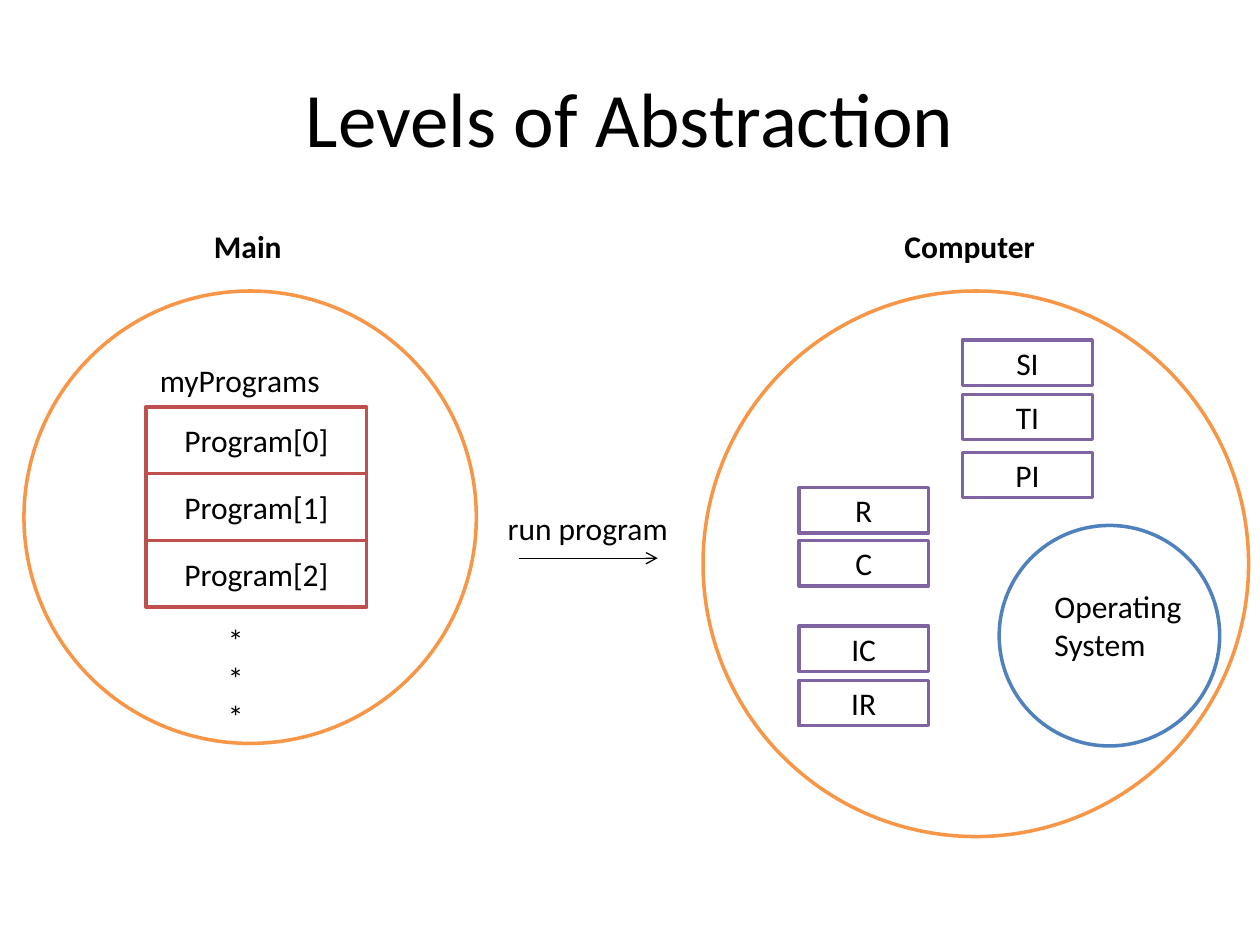
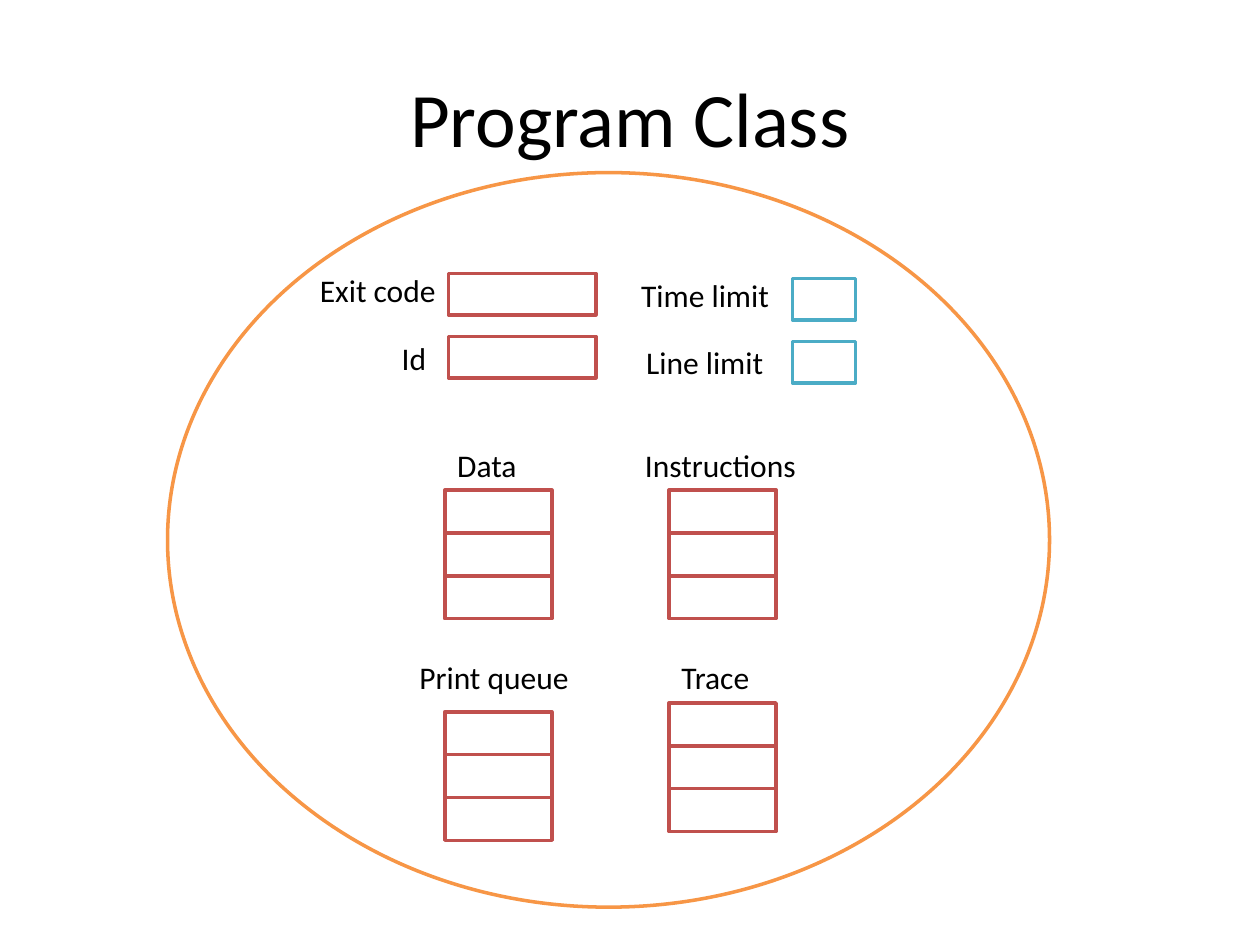
from pptx import Presentation
from pptx.dml.color import RGBColor
from pptx.enum.shapes import MSO_CONNECTOR as Link, MSO_SHAPE as Shape
from pptx.enum.text import MSO_ANCHOR as Anchor, MSO_AUTO_SIZE as Fit, PP_ALIGN as Align
from pptx.oxml.ns import qn
from pptx.util import Inches, Pt
from lxml import etree

COLORS = {
    "text": "000000", "fill": "FFFFFF", "orange": "F79646", "blue": "4F81BD",
    "red": "C0504D", "purple": "8064A2", "teal": "4BACC6",
}
FONT = "Calibri"


def color(name):
    return RGBColor.from_string(COLORS[name])


def style(frame, size=18, bold=False, align=Align.LEFT):
    for para in frame.paragraphs:
        para.alignment = align
        font = para.font
        font.name, font.size, font.bold = FONT, Pt(size), bold
        font.color.rgb = color("text")


def add_slide(deck, title):
    slide = deck.slides.add_slide(deck.slide_layouts[5])
    head = slide.shapes.title
    head.left, head.top, head.width, head.height = map(Inches, (0.5, 0.3, 9, 1.25))
    head.text_frame.text = title
    head.text_frame.vertical_anchor = Anchor.MIDDLE
    style(head.text_frame, 44, align=Align.CENTER)
    return slide


def add_form(slide, kind, line, x, y, w, h, text=""):
    """Add a white shape with a coloured outline and centred text."""
    form = slide.shapes.add_shape(kind, *map(Inches, (x, y, w, h)))
    form.shadow.inherit = False
    form.fill.solid()
    form.fill.fore_color.rgb = color("fill")
    form.line.color.rgb = color(line)
    form.line.width = Pt(2)
    if text:
        frame = form.text_frame
        frame.text = text
        frame.vertical_anchor = Anchor.MIDDLE
        style(frame, align=Align.CENTER)


def add_oval(slide, line, x, y, w, h):
    add_form(slide, Shape.OVAL, line, x, y, w, h)


def add_box(slide, line, x, y, w, h, text=""):
    add_form(slide, Shape.RECTANGLE, line, x, y, w, h, text)


def add_stack(slide, x, y, w, h, texts=("", "", "")):
    """Add red cells that touch, from the top down."""
    for i, text in enumerate(texts):
        add_box(slide, "red", x, y + i * h, w, h, text)


def add_label(slide, text, x, y, w, h=0.4, bold=False):
    frame = slide.shapes.add_textbox(*map(Inches, (x, y, w, h))).text_frame
    frame.text = text
    frame.word_wrap = False
    frame.auto_size = Fit.SHAPE_TO_FIT_TEXT
    style(frame, bold=bold)


def add_arrow(slide, x, y, end):
    line = slide.shapes.add_connector(
        Link.STRAIGHT, Inches(x), Inches(y), Inches(end), Inches(y))
    line.line.color.rgb = color("text")
    line.line.width = Pt(0.75)
    props = line._element.spPr
    etree.SubElement(props.find(qn("a:ln")), qn("a:tailEnd"), type="arrow")
    etree.SubElement(props, qn("a:effectLst"))


def draw_levels(deck):
    slide = add_slide(deck, "Levels of Abstraction")

    add_label(slide, "Computer", 7.08, 1.75, 1.27, bold=True)
    add_oval(slide, "orange", 5.58, 2.31, 4.33, 4.33)
    add_oval(slide, "blue", 7.93, 4.17, 1.75, 1.75)
    add_label(slide, "Operating\nSystem", 8.27, 4.61, 1.28, 0.71)
    cells = {
        6.34: {"R": 3.87, "C": 4.29, "IC": 4.97, "IR": 5.4},
        7.64: {"SI": 2.7, "TI": 3.13, "PI": 3.59},
    }
    for x, column in cells.items():
        for name, y in column.items():
            add_box(slide, "purple", x, y, 1.03, 0.36, name)

    add_label(slide, "Main", 1.6, 1.75, 0.74, bold=True)
    add_oval(slide, "orange", 0.19, 2.31, 3.59, 3.59)
    add_label(slide, "myPrograms", 1.17, 2.82, 1.48)
    add_stack(slide, 1.16, 3.23, 1.75, 0.53, [f"Program[{i}]" for i in range(3)])
    add_label(slide, "*\n*\n*", 1.71, 4.88, 0.33, 1.01)

    add_label(slide, "run program", 3.93, 3.99, 1.49)
    add_arrow(slide, 4.12, 4.43, 5.22)


def draw_class(deck):
    slide = add_slide(deck, "Program Class")
    add_oval(slide, "orange", 1.33, 1.37, 7, 5.83)

    fields = [
        ("Exit code", 2.44, 2.1, 1.13, "red", 3.56, 2.17, 1.17),
        ("Id", 3.09, 2.64, 0.4, "red", 3.56, 2.67, 1.17),
        ("Time limit", 4.99, 2.14, 1.23, "teal", 6.29, 2.21, 0.5),
        ("Line limit", 5.03, 2.67, 1.14, "teal", 6.29, 2.71, 0.5),
    ]
    for text, x, y, w, line, left, top, wide in fields:
        add_label(slide, text, x, y, w)
        add_box(slide, line, left, top, wide, 0.33)

    lists = [
        ("Data", 3.53, 3.49, 0.68, 3.53, 3.89),
        ("Instructions", 5.02, 3.49, 1.41, 5.31, 3.89),
        ("Print queue", 3.23, 5.17, 1.4, 3.53, 5.65),
        ("Trace", 5.31, 5.17, 0.75, 5.31, 5.58),
    ]
    for text, x, y, w, left, top in lists:
        add_label(slide, text, x, y, w)
        add_stack(slide, left, top, 0.85, 0.34)


def main():
    deck = Presentation()
    deck.slide_width, deck.slide_height = Inches(10), Inches(7.5)
    draw_levels(deck)
    draw_class(deck)
    deck.save("out.pptx")


if __name__ == "__main__":
    main()
